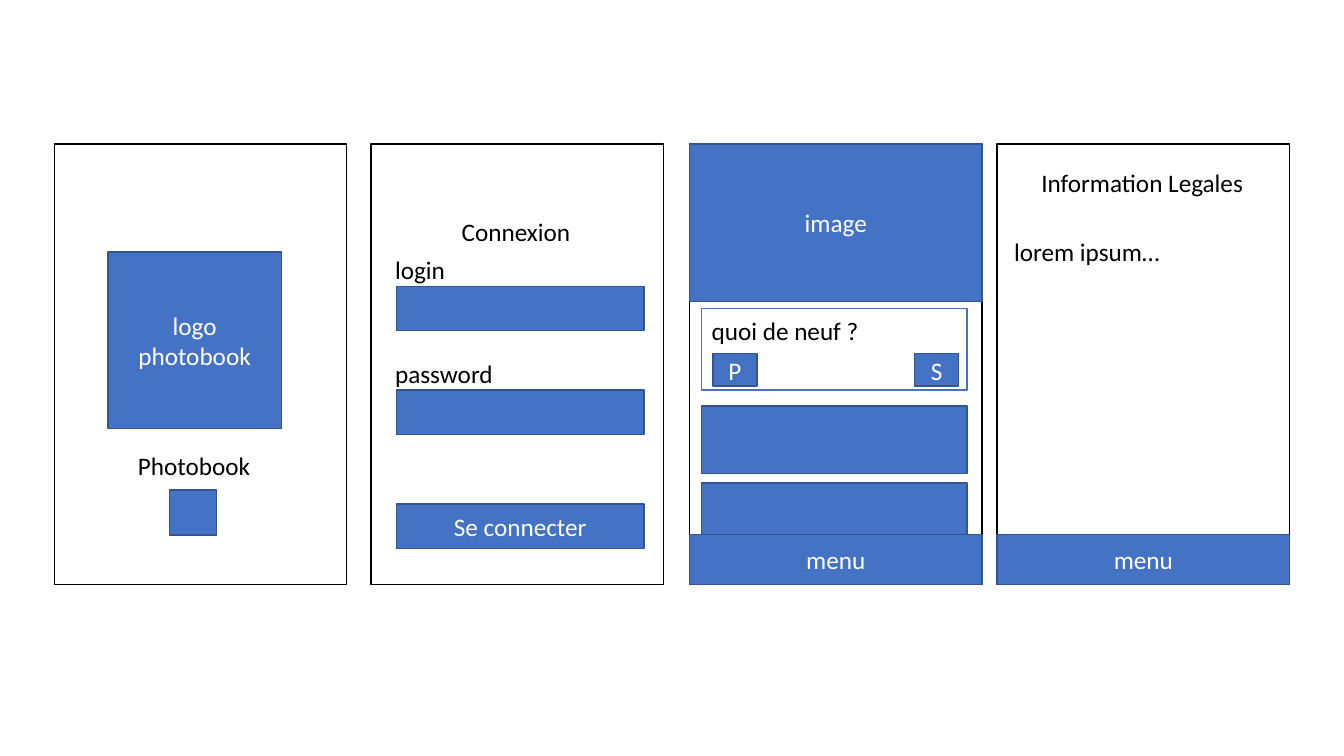
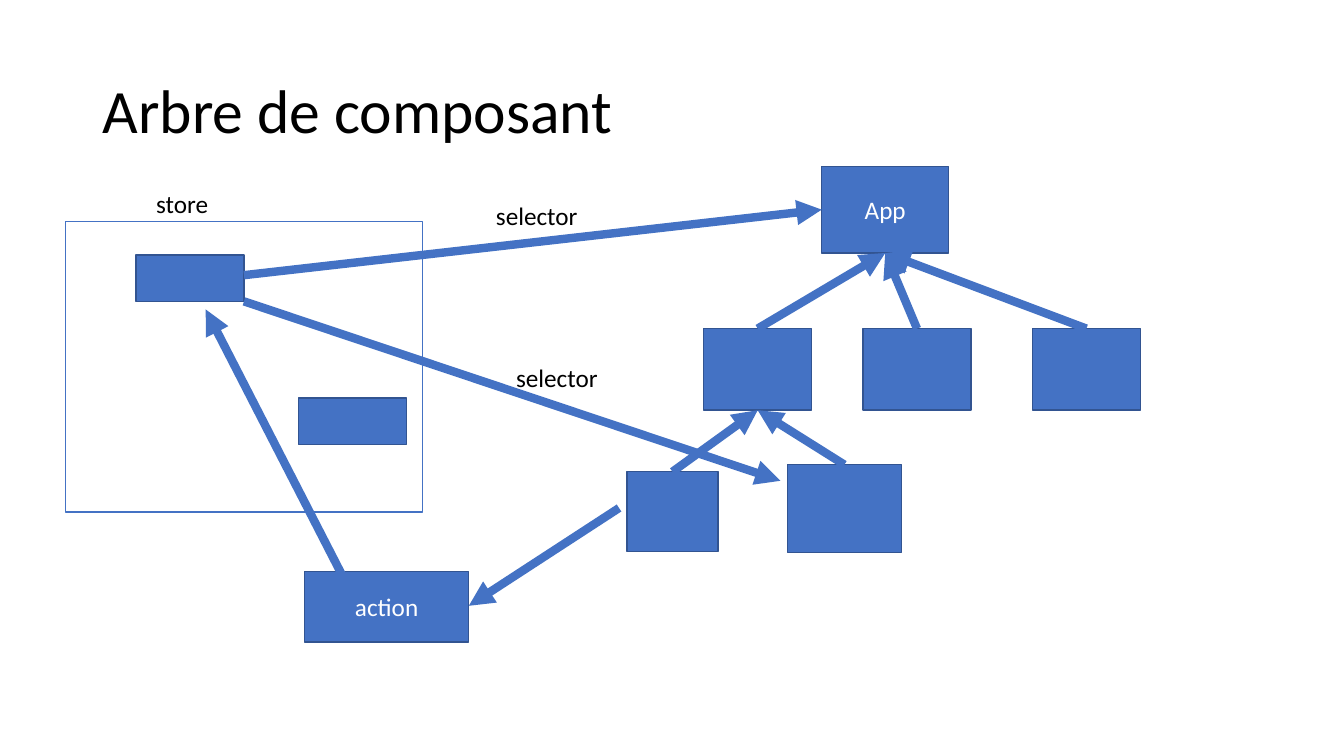
import pptx
import pptx.util
import pptx.dml.color
import pptx.enum.shapes
import pptx.enum.text
import pptx.oxml.ns
import lxml.etree

Inches = pptx.util.Inches
RGBColor = pptx.dml.color.RGBColor
Align = pptx.enum.text.PP_ALIGN
Anchor = pptx.enum.text.MSO_ANCHOR
qn = pptx.oxml.ns.qn

BLUE = RGBColor(0x44, 0x72, 0xC4)
NAVY = RGBColor(0x32, 0x54, 0x91)
BLACK = RGBColor(0, 0, 0)
WHITE = RGBColor(255, 255, 255)
FONT = "Calibri"
TOP, BOTTOM = 0, 2  # connection sites of a rectangle
LEFT = 1


def write(shape, text, size=18, color=BLACK, align=Align.LEFT,
          anchor=Anchor.TOP, wrap=True, space=1.0):
    """Put one formatted paragraph into a shape."""
    frame = shape.text_frame
    frame.word_wrap = wrap
    frame.vertical_anchor = anchor
    para = frame.paragraphs[0]
    para.alignment = align
    para.line_spacing = space
    run = para.add_run()
    run.text = text
    run.font.name = FONT
    run.font.size = pptx.util.Pt(size)
    run.font.color.rgb = color


class Deck:
    """Shared style and the slide being filled."""

    def __init__(self):
        """Start a wide, empty deck."""
        self.file = pptx.Presentation()
        self.file.slide_width = Inches(13.33)
        self.file.slide_height = Inches(7.5)
        self.slide = None

    def page(self):
        """Add a blank slide and make it current."""
        self.slide = self.file.slides.add_slide(self.file.slide_layouts[6])

    def box(self, x, y, w, h, text="", fill=BLUE, line=NAVY):
        """Draw a rectangle with an optional centred caption."""
        shape = self.slide.shapes.add_shape(
            pptx.enum.shapes.MSO_SHAPE.RECTANGLE,
            Inches(x), Inches(y), Inches(w), Inches(h))
        shape.shadow.inherit = False
        shape.fill.solid()
        shape.fill.fore_color.rgb = fill
        shape.line.color.rgb = line
        shape.line.width = pptx.util.Pt(1)
        if text:
            write(shape, text, color=WHITE, align=Align.CENTER,
                  anchor=Anchor.MIDDLE)
        return shape

    def frame(self, x, y, w, h, line=BLUE):
        """Draw a white outlined rectangle."""
        return self.box(x, y, w, h, fill=WHITE, line=line)

    def label(self, x, y, w, text):
        """Add a one-line black label."""
        area = self.slide.shapes.add_textbox(
            Inches(x), Inches(y), Inches(w), Inches(0.4))
        write(area, text, wrap=False)

    def title(self, text):
        """Add the slide title."""
        area = self.slide.shapes.add_textbox(
            Inches(0.92), Inches(0.4), Inches(11.5), Inches(1.45))
        write(area, text, size=44, anchor=Anchor.MIDDLE, space=0.9)

    def arrow(self, start, end):
        """Draw a thick arrow between two points."""
        line = self.slide.shapes.add_connector(
            pptx.enum.shapes.MSO_CONNECTOR.STRAIGHT,
            *[Inches(v) for v in start + end])
        line.line.color.rgb = BLUE
        line.line.width = pptx.util.Pt(6)
        props = line.element.spPr
        lxml.etree.SubElement(props.find(qn("a:ln")), qn("a:tailEnd"),
                              type="triangle")
        lxml.etree.SubElement(props, qn("a:effectLst"))
        return line

    def link(self, child, parent):
        """Join the top of a child to the bottom of its parent."""
        line = self.arrow((0, 0), (1, 1))
        line.begin_connect(child, TOP)
        line.end_connect(parent, BOTTOM)


PHONE_Y, PHONE_W, PHONE_H = 1.43, 2.9, 4.37
MENU_H = 0.5


def phone(deck, x):
    """Draw the outline of one phone screen."""
    deck.frame(x, PHONE_Y, PHONE_W, PHONE_H, line=BLACK)


def menu(deck, x):
    """Draw the menu bar at the foot of a phone."""
    deck.box(x, PHONE_Y + PHONE_H - MENU_H, PHONE_W, MENU_H, "menu")


def splash(deck, x):
    """Draw the opening screen."""
    phone(deck, x)
    deck.box(x + 0.53, 2.5, 1.72, 1.75, "logo photobook")
    deck.label(x + 0.73, 4.42, 1.33, "Photobook")
    deck.box(x + 1.14, 4.86, 0.47, 0.45)


def login(deck, x):
    """Draw the login screen."""
    phone(deck, x)
    deck.label(x + 0.8, 2.1, 1.29, "Connexion")
    for y, text in ((2.84, ""), (3.87, ""), (5, "Se connecter")):
        deck.box(x + 0.25, y, 2.46, 0.44, text)
    deck.label(x + 0.14, 2.47, 0.7, "login")
    deck.label(x + 0.14, 3.51, 1.18, "password")


def feed(deck, x):
    """Draw the news screen."""
    phone(deck, x)
    deck.box(x, PHONE_Y, PHONE_W, 1.56, "image")
    left, wide = x + 0.12, 2.63
    for y, h in ((4.03, 0.67), (4.79, 1.01)):
        deck.box(left, y, wide, h)
    menu(deck, x)
    deck.frame(left, 3.06, wide, 0.81)
    deck.label(left, 3.08, 1.68, "quoi de neuf ?")
    for step, text in ((0.23, "P"), (2.23, "S")):
        deck.box(x + step, 3.51, 0.44, 0.32, text)


def legal(deck, x):
    """Draw the legal notice screen."""
    phone(deck, x)
    menu(deck, x)
    deck.label(x + 0.34, 1.61, 2.23, "Information Legales")
    deck.label(x + 0.07, 2.3, 1.68, "lorem ipsum…")


def screens(deck):
    """Build the slide of four phone screens."""
    deck.page()
    for draw, x in ((splash, 0.54), (login, 3.68), (feed, 6.84),
                    (legal, 9.89)):
        draw(deck, x)


def tree(deck):
    """Build the component tree slide."""
    deck.page()
    deck.title("Arbre de composant")

    app = deck.box(8.15, 1.65, 1.26, 0.86, "App")
    nodes = [deck.box(x, 3.26, 1.07, 0.81) for x in (6.98, 8.56, 10.24)]
    for node in nodes:
        deck.link(node, app)
    leaves = [deck.box(6.22, 4.68, 0.9, 0.79),
              deck.box(7.81, 4.61, 1.13, 0.87)]
    for leaf in leaves:
        deck.link(leaf, nodes[0])

    deck.frame(0.65, 2.2, 3.54, 2.88)
    deck.box(1.35, 2.53, 1.07, 0.46)
    deck.arrow((2.42, 2.73), (8.15, 2.09)).end_connect(app, LEFT)
    deck.arrow((2.42, 2.99), (7.74, 4.77))
    deck.label(4.82, 1.94, 1.02, "selector")
    deck.label(1.45, 1.82, 0.72, "store")
    deck.label(5.02, 3.55, 1.02, "selector")

    deck.arrow((6.14, 5.04), (4.65, 6.01))
    deck.box(3.02, 5.67, 1.63, 0.7, "action")
    deck.arrow((3.4, 5.72), (2.04, 3.07))
    deck.box(2.96, 3.95, 1.07, 0.46)


deck = Deck()
screens(deck)
tree(deck)
deck.file.save("out.pptx")
